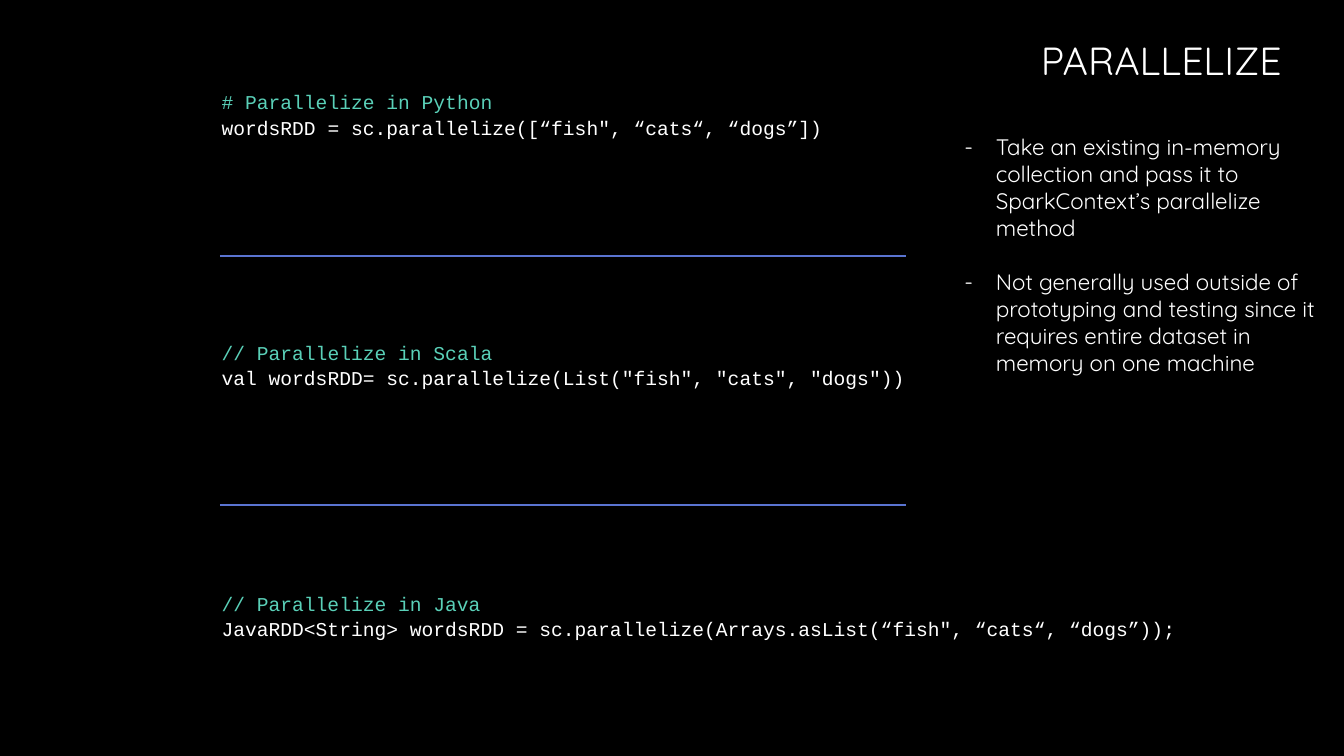
from dataclasses import dataclass

from lxml import etree
from pptx import Presentation
from pptx.dml.color import RGBColor
from pptx.enum.shapes import MSO_CONNECTOR
from pptx.oxml import parse_xml
from pptx.oxml.ns import nsdecls, qn
from pptx.util import Pt

STRAIGHT = MSO_CONNECTOR.STRAIGHT


@dataclass(frozen=True)
class Theme:
    background: str = "000000"
    text: str = "FFFFFF"
    title_fade: str = "A6A6A6"
    comment: str = "5AD0B8"
    divider: str = "5A74D1"
    body_font: str = "Quicksand"
    code_font: str = "Courier New"
    title_size: float = 28
    body_size: float = 16
    code_size: float = 14


def format_text(para, text, font, size, color):
    """Add one formatted span of text to a paragraph."""
    span = para.add_run()
    span.text = text
    span.font.name = font
    span.font.size = Pt(size)
    span.font.color.rgb = RGBColor.from_string(color)
    return span


class SlideBuilder:
    def __init__(self, page, theme):
        self.page = page
        self.theme = theme
        fill = page.background.fill
        fill.solid()
        fill.fore_color.rgb = RGBColor.from_string(theme.background)

    def text_box(self, left, top, width, height, wrap=True):
        box = self.page.shapes.add_textbox(Pt(left), Pt(top), Pt(width), Pt(height))
        box.text_frame.word_wrap = wrap
        return box.text_frame

    def paragraphs(self, frame, count):
        return [frame.paragraphs[0]] + [frame.add_paragraph() for _ in range(count - 1)]

    def title(self, text, left, top, width, height):
        theme = self.theme
        frame = self.text_box(left, top, width, height, wrap=False)
        span = format_text(frame.paragraphs[0], text, font=theme.body_font,
                           size=theme.title_size, color=theme.text)
        # Fade from white to grey, with a soft shadow below the letters
        fill = span.font.fill
        fill.gradient()
        fill.gradient_angle = 267
        for stop, color in zip(fill.gradient_stops, (theme.text, theme.title_fade)):
            stop.color.rgb = RGBColor.from_string(color)
        shadow = parse_xml(
            f'<a:effectLst {nsdecls("a")}><a:outerShdw blurRad="38100" dist="25400" '
            'dir="5400000"><a:srgbClr val="000000"><a:alpha val="40000"/></a:srgbClr>'
            '</a:outerShdw></a:effectLst>')
        span.font._element.find(qn("a:gradFill")).addnext(shadow)

    def code(self, comment, statement, left, top, width, height):
        theme = self.theme
        frame = self.text_box(left, top, width, height)
        lines = ((comment, theme.comment), (statement, theme.text))
        for para, (text, color) in zip(self.paragraphs(frame, len(lines)), lines):
            para.line_spacing = 1.07
            format_text(para, text, font=theme.code_font, size=theme.code_size, color=color)

    def divider(self, left, right, y):
        line = self.page.shapes.add_connector(STRAIGHT, Pt(left), Pt(y), Pt(right), Pt(y))
        line.line.color.rgb = RGBColor.from_string(self.theme.divider)
        line.line.width = Pt(1.5)
        etree.SubElement(line._element.spPr, qn("a:effectLst"))

    def bullets(self, items, left, top, width, height, indent, pitch):
        theme = self.theme
        frame = self.text_box(left, top, width, height)
        for index, (para, text) in enumerate(zip(self.paragraphs(frame, len(items)), items)):
            para.line_spacing = Pt(pitch)
            if index:
                para.space_before = Pt(pitch)
            properties = para._p.get_or_add_pPr()
            properties.set("marL", str(Pt(indent)))
            properties.set("indent", str(-Pt(indent)))
            etree.SubElement(properties, qn("a:buFont"), typeface=theme.body_font)
            etree.SubElement(properties, qn("a:buChar"), char="-")
            format_text(para, text, font=theme.body_font, size=theme.body_size,
                        color=theme.text)


def main():
    deck = Presentation()
    deck.slide_width, deck.slide_height = Pt(960), Pt(540)
    page = deck.slides.add_slide(deck.slide_layouts[6])
    builder = SlideBuilder(page, Theme())

    # Heading
    builder.title("PARALLELIZE", left=736.5, top=22.3, width=188, height=43.2)

    # Code samples, evenly stacked
    samples = (
        ("# Parallelize in Python",
         'wordsRDD = sc.parallelize([“fish", “cats“, “dogs”])', 597),
        ("// Parallelize in Scala",
         'val wordsRDD= sc.parallelize(List("fish", "cats", "dogs"))', 597),
        ("// Parallelize in Java",
         'JavaRDD<String> wordsRDD = sc.parallelize(Arrays.asList(“fish", “cats“, “dogs”));',
         742),
    )
    for index, (comment, statement, width) in enumerate(samples):
        builder.code(comment, statement, left=151.2, top=59.8 + 179 * index,
                     width=width, height=41)

    # Dividers between the samples
    for index in range(len(samples) - 1):
        builder.divider(left=157, right=647.5, y=182.9 + 177.8 * index)

    # Remarks
    builder.bullets(
        ("Take an existing in-memory collection and pass it to SparkContext’s "
         "parallelize method",
         "Not generally used outside of prototyping and testing since it requires "
         "entire dataset in memory on one machine"),
        left=681.8, top=91.4, width=278, height=181.4, indent=22.5, pitch=19.3)

    deck.save("out.pptx")


if __name__ == "__main__":
    main()
